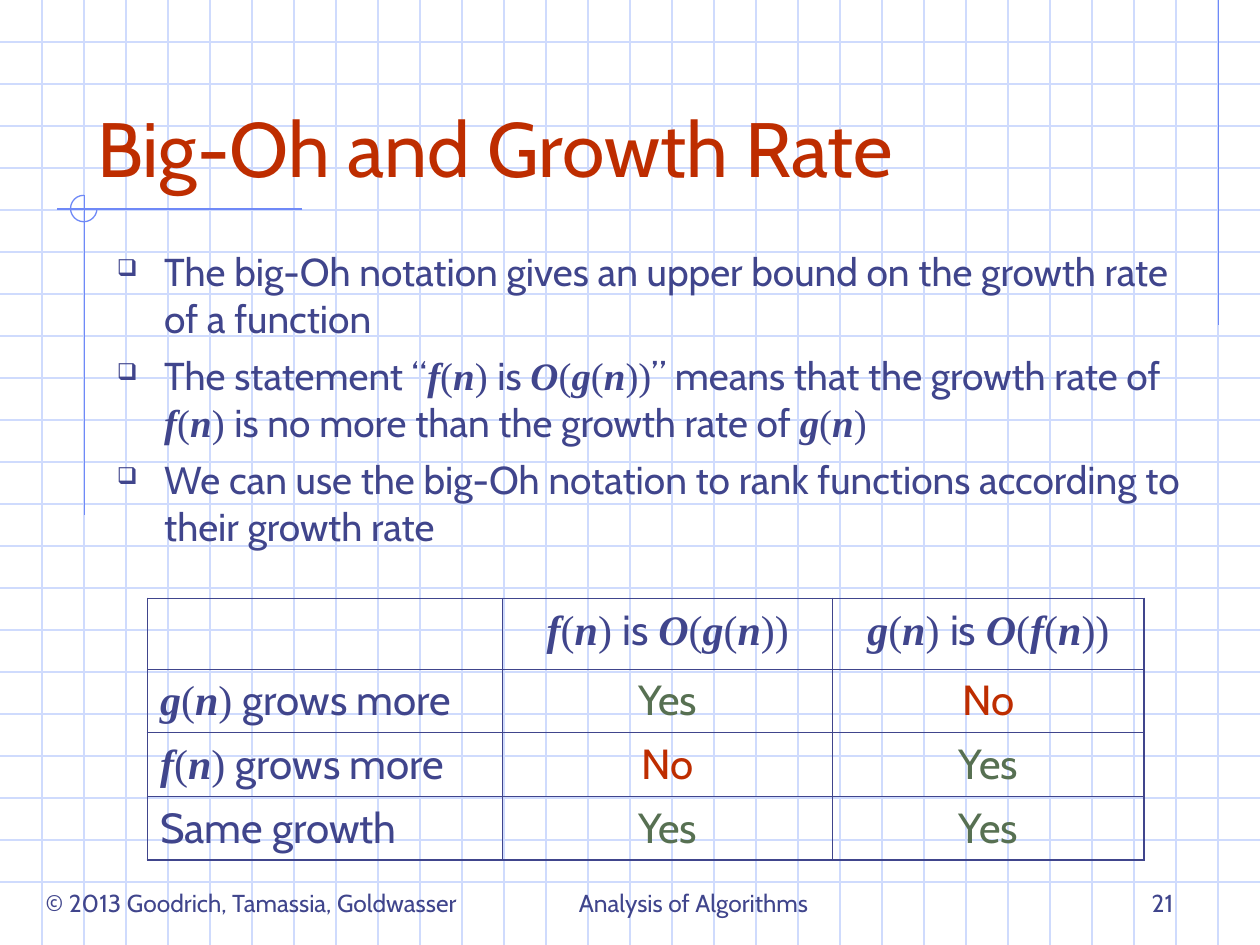
import pptx
import pptx.util
import pptx.dml.color
import pptx.enum.shapes
import pptx.enum.text
import pptx.oxml.ns
from lxml import etree

# Text between bars is a formula: letters bold italic, the rest upright.
TITLE = "Big-Oh and Growth Rate"
BULLETS = [
    "The big-Oh notation gives an upper bound on the growth rate of a function",
    "The statement “|f(n) |is |O(g(n))|” means that the growth rate of "
    "|f(n) |is no more than the growth rate of |g(n)|",
    "We can use the big-Oh notation to rank functions according to their growth rate",
]
TABLE = [
    ["", "|f(n) |is |O(g(n))|", "|g(n) |is |O(f(n))|"],
    ["|g(n) |grows more", "Yes", "No"],
    ["|f(n) |grows more", "No", "Yes"],
    ["Same growth", "Yes", "Yes"],
]
FOOTERS = [  # text, left, width, alignment
    ("© 2013 Goodrich, Tamassia, Goldwasser", 0.08, 3.83, "CENTER"),
    ("Analysis of Algorithms", 3.92, 3.17, "CENTER"),
    ("21", 7.33, 2.08, "RIGHT"),
]
THEME = {
    "text": "40458C", "title": "BE2D00", "Yes": "577052", "No": "BE2D00",
    "grid": "CFDBFD", "accent": "6F89F7",
    "font": "Cabin", "formula font": "Times New Roman",
    "title size": 44, "body size": 22.2, "table size": 24, "footer size": 14,
    "line": 0.74, "thin border": 0.45, "thick border": 1.08,
}
WIDTH, HEIGHT = 10, 7.5
GRID_STEP = 1 / 3
ACCENT_LINES = [(9.67, 0, 9.67, 2.58), (2.4, 1.66, 0.45, 1.66), (0.67, 1.55, 0.67, 4.09)]
ARC_BOX = (0.56, 1.55, 0.21, 0.21)
TITLE_BOX = (0.67, 0.33, 8.5, 1.25)
BODY_BOX = (0.83, 1.92, 8.75, 2.83)
TABLE_LEFT, TABLE_TOP = 1.17, 4.75
COLUMN_WIDTHS = [2.82, 2.62, 2.47]
ROW_HEIGHTS = [0.56, 0.5, 0.5, 0.5]
FOOTER_TOP, FOOTER_HEIGHT = 6.83, 0.5

ALIGN = pptx.enum.text.PP_ALIGN
ANCHOR = pptx.enum.text.MSO_ANCHOR


def inches(values):
    """Turn numbers into lengths in inches."""
    return [pptx.util.Inches(value) for value in values]


def color(name):
    """Look up a theme colour."""
    return pptx.dml.color.RGBColor.from_string(THEME[name])


def add_xml(parent, tag, **attributes):
    """Append a drawing element to its parent."""
    return etree.SubElement(parent, pptx.oxml.ns.qn(tag), attributes)


def style_line(line, name):
    """Give a line its colour and the common width."""
    line.color.rgb = color(name)
    line.width = pptx.util.Pt(THEME["line"])


def add_line(shapes, ends, name):
    """Draw a straight line without shadow."""
    connector = shapes.add_connector(pptx.enum.shapes.MSO_CONNECTOR.STRAIGHT, *inches(ends))
    style_line(connector.line, name)
    add_xml(connector._element.spPr, "a:effectLst")


def write(paragraph, text, size, name="text", align="LEFT", space_before=0):
    """Fill a paragraph with plain words and formulas."""
    paragraph.alignment = getattr(ALIGN, align)
    paragraph.space_before = pptx.util.Pt(space_before)
    paragraph.font.size = pptx.util.Pt(THEME[size])
    paragraph.font.name = THEME["font"]
    paragraph.font.color.rgb = color(name)
    for index, part in enumerate(text.split("|")):
        is_formula = index % 2 == 1
        for piece in (part if is_formula else [part]):
            if not piece:
                continue
            run = paragraph.add_run()
            run.text = piece
            run.font.size = pptx.util.Pt(THEME[size])
            run.font.color.rgb = color(name)
            run.font.name = THEME["formula font" if is_formula else "font"]
            if is_formula:
                run.font.bold = run.font.italic = piece.isalpha()


def prepare_frame(shape, anchor):
    """Set wrapping and anchor, and return the text frame."""
    frame = shape.text_frame
    frame.word_wrap = True
    frame.auto_size = pptx.enum.text.MSO_AUTO_SIZE.NONE
    frame.vertical_anchor = anchor
    return frame


def draw_background(slide):
    """Draw the squared paper, the accent lines and the arc in one group."""
    shapes = slide.shapes.add_group_shape().shapes
    for index in range(1, round(HEIGHT / GRID_STEP)):
        add_line(shapes, (0, index * GRID_STEP, WIDTH, index * GRID_STEP), "grid")
    for index in range(1, round(WIDTH / GRID_STEP)):
        add_line(shapes, (index * GRID_STEP, 0, index * GRID_STEP, HEIGHT), "grid")
    for ends in ACCENT_LINES:
        add_line(shapes, ends, "accent")
    arc = shapes.add_shape(pptx.enum.shapes.MSO_SHAPE.ARC, *inches(ARC_BOX))
    arc.adjustments[0], arc.adjustments[1] = 0, 270 * 0.6
    arc.fill.background()
    arc.shadow.inherit = False
    style_line(arc.line, "accent")


def place_title(slide):
    """Place the title above the background."""
    title = slide.shapes.title
    title.left, title.top, title.width, title.height = inches(TITLE_BOX)
    slide.shapes._spTree.append(title._element)
    frame = prepare_frame(title, ANCHOR.BOTTOM)
    write(frame.paragraphs[0], TITLE, "title size", "title")


def add_bullets(slide):
    """Write the bulleted statements."""
    frame = prepare_frame(slide.shapes.add_textbox(*inches(BODY_BOX)), ANCHOR.TOP)
    for index, text in enumerate(BULLETS):
        paragraph = frame.add_paragraph() if index else frame.paragraphs[0]
        write(paragraph, text, "body size", space_before=6)
        properties = paragraph._p.get_or_add_pPr()
        indent = pptx.util.Inches(0.375)
        properties.set("marL", str(indent))
        properties.set("indent", str(-indent))
        bullet = [
            add_xml(properties, "a:buClr"),
            add_xml(properties, "a:buSzPct", val="60000"),
            add_xml(properties, "a:buChar", char="❑"),
        ]
        add_xml(bullet[0], "a:srgbClr", val=THEME["text"])
        defaults = properties.find(pptx.oxml.ns.qn("a:defRPr"))
        if defaults is not None:
            properties.append(defaults)


def set_borders(cell, thick_sides):
    """Draw the four borders of a cell, the named sides thick."""
    properties = cell._tc.get_or_add_tcPr()
    for index, side in enumerate("LRTB"):
        weight = THEME["thick border" if side in thick_sides else "thin border"]
        border = etree.Element(pptx.oxml.ns.qn("a:ln" + side), w=str(pptx.util.Pt(weight)))
        add_xml(add_xml(border, "a:solidFill"), "a:srgbClr", val=THEME["text"])
        properties.insert(index, border)


def add_growth_table(slide):
    """Add the comparison table."""
    last_row, last_column = len(TABLE) - 1, len(COLUMN_WIDTHS) - 1
    box = inches((TABLE_LEFT, TABLE_TOP, sum(COLUMN_WIDTHS), sum(ROW_HEIGHTS)))
    table = slide.shapes.add_table(last_row + 1, last_column + 1, *box).table
    table.first_row = table.horz_banding = False
    for column, width in zip(table.columns, inches(COLUMN_WIDTHS)):
        column.width = width
    for row, height in zip(table.rows, inches(ROW_HEIGHTS)):
        row.height = height
    for row, texts in enumerate(TABLE):
        for column, text in enumerate(texts):
            cell = table.cell(row, column)
            cell.fill.background()
            sides = {"T": row == 0, "B": row == last_row,
                     "L": column == 0 and row > 0, "R": column == last_column}
            set_borders(cell, [side for side, thick in sides.items() if thick])
            write(cell.text_frame.paragraphs[0], text, "table size",
                  text if text in ("Yes", "No") else "text",
                  "CENTER" if column else "LEFT", 6)


def add_footers(slide):
    """Write the line of footers."""
    for text, left, width, align in FOOTERS:
        box = slide.shapes.add_textbox(*inches((left, FOOTER_TOP, width, FOOTER_HEIGHT)))
        frame = prepare_frame(box, ANCHOR.BOTTOM)
        write(frame.paragraphs[0], text, "footer size", align=align)


presentation = pptx.Presentation()
presentation.slide_width, presentation.slide_height = inches((WIDTH, HEIGHT))
slide = presentation.slides.add_slide(presentation.slide_layouts[5])
draw_background(slide)
place_title(slide)
add_bullets(slide)
add_growth_table(slide)
add_footers(slide)
presentation.save("out.pptx")
